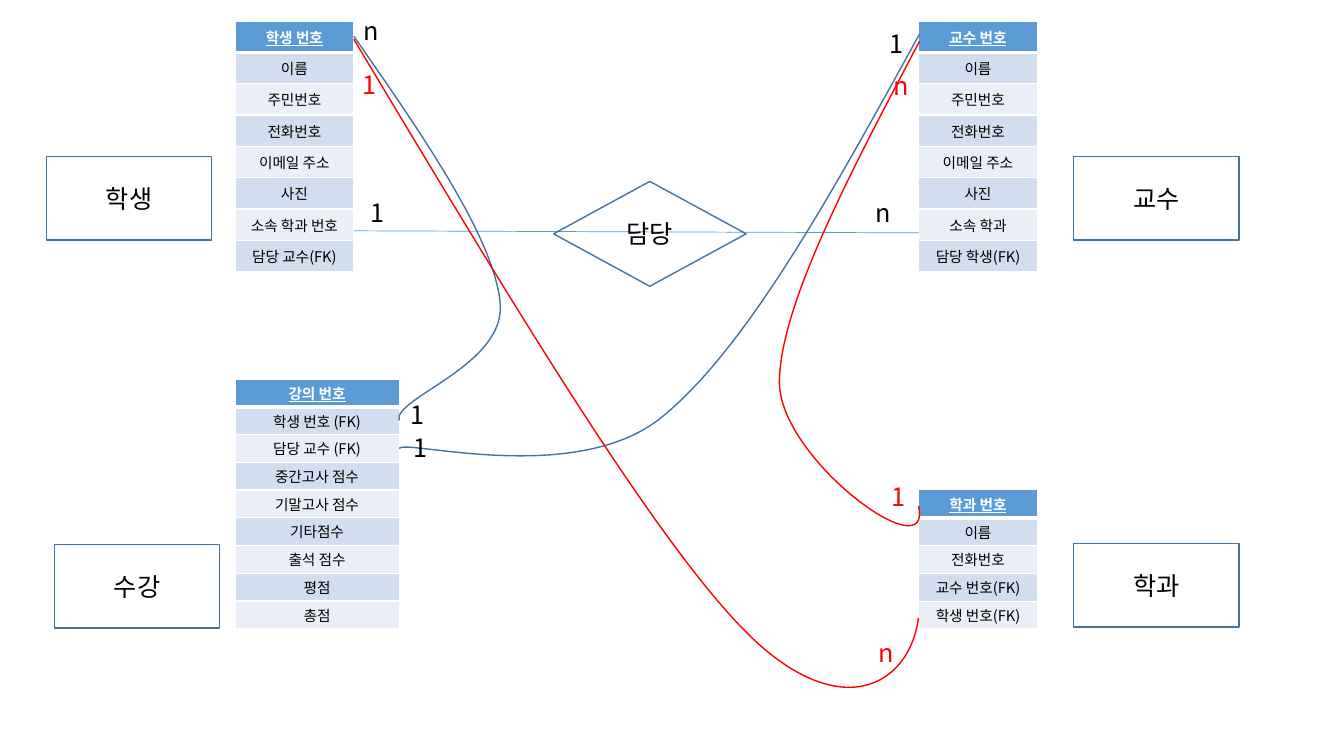
from lxml.etree import SubElement
from pptx import Presentation
from pptx.dml.color import RGBColor
from pptx.enum.shapes import MSO_CONNECTOR, MSO_SHAPE
from pptx.enum.text import MSO_ANCHOR as ANCHOR, MSO_AUTO_SIZE as AUTO, PP_ALIGN as ALIGN
from pptx.oxml.ns import qn
from pptx.util import Inches, Pt

FONT = "Noto Sans CJK KR"
BLACK = RGBColor(0, 0, 0)
WHITE = RGBColor(255, 255, 255)
RED = RGBColor(255, 0, 0)
NAVY = RGBColor(0x43, 0x73, 0x9E)
BLUE = RGBColor(0x5B, 0x9B, 0xD5)
BANDS = [RGBColor(0xD2, 0xDE, 0xEF), RGBColor(0xEA, 0xEF, 0xF7)]

ENTITIES = [("학생", 0.46, 1.55), ("수강", 0.54, 5.4), ("학과", 10.65, 5.39), ("교수", 10.65, 1.55)]

PERSON_FIELDS = ["이름", "주민번호", "전화번호", "이메일 주소", "사진"]
TABLES = [
    (2.33, 0.21, 1.18, 2.48, 0.05,
     ["학생 번호", *PERSON_FIELDS, "소속 학과 번호", "담당 교수(FK)"]),
    (9.11, 0.21, 1.18, 2.48, 0.05,
     ["교수 번호", *PERSON_FIELDS, "소속 학과", "담당 학생(FK)"]),
    (9.11, 4.86, 1.18, 1.38, 0.03,
     ["학과 번호", "이름", "전화번호", "교수 번호(FK)", "학생 번호(FK)"]),
    (2.33, 3.76, 1.63, 2.48, 0.03,
     ["강의 번호", "학생 번호 (FK)", "담당 교수 (FK)", "중간고사 점수", "기말고사 점수",
      "기타점수", "출석 점수", "평점", "총점"]),
]

CURVES = [
    (NAVY, (3.51, 0.36, 1.46, 3.82),
     [(3.51, 0.36), (4.2, 1.35), (4.89, 2.35), (4.96, 2.99),
      (5.04, 3.62), (3.89, 3.95), (3.96, 4.17)]),
    (NAVY, (3.96, 0.34, 5.16, 4.18),
     [(9.12, 0.34), (8.26, 1.9), (7.41, 3.46), (6.55, 4.15),
      (5.69, 4.83), (4, 4.35), (3.96, 4.45)]),
    (RED, (3.51, 0.39, 5.6, 6.44),
     [(3.51, 0.39), (4.98, 2.84), (6.44, 5.29), (7.38, 6.25),
      (8.31, 7.2), (9.02, 6.82), (9.11, 6.13)]),
    (RED, (7.73, 0.41, 1.39, 4.8),
     [(9.12, 0.41), (8.43, 1.72), (7.74, 3.02), (7.73, 3.79),
      (7.73, 4.56), (9.26, 5.67), (9.11, 5.02)]),
]

CARDINALITIES = [
    ("n", 8.58, 1.91, BLACK), ("1", 3.58, 1.91, BLACK),
    ("1", 3.97, 3.91, BLACK), ("n", 3.51, 0.1, BLACK),
    ("1", 4, 4.24, BLACK), ("1", 8.72, 0.23, BLACK),
    ("1", 3.5, 0.64, RED), ("n", 8.61, 6.27, RED),
    ("1", 8.74, 4.73, RED), ("n", 8.76, 0.65, RED),
]


class Diagram:
    def __init__(self, slide, font=FONT):
        self.slide = slide
        self.font = font

    def add_text(self, tf, text, size=18, color=BLACK, align=ALIGN.CENTER, header=False):
        p = tf.paragraphs[0]
        p.alignment = align
        r = p.add_run()
        r.text = text
        r.font.name = self.font
        r.font.size = Pt(size)
        r.font.bold = header
        r.font.underline = header
        r.font.color.rgb = color
        SubElement(r.font._element, qn("a:ea"), typeface=self.font)

    def outline(self, sp, color):
        sp.shadow.inherit = False
        sp.fill.background()
        sp.line.color.rgb = color
        sp.line.width = Pt(1)

    def shape(self, kind, text, x, y, w, h):
        sp = self.slide.shapes.add_shape(kind, Inches(x), Inches(y), Inches(w), Inches(h))
        self.outline(sp, NAVY)
        sp.text_frame.vertical_anchor = ANCHOR.MIDDLE
        self.add_text(sp.text_frame, text)

    def label(self, text, x, y, color):
        sp = self.slide.shapes.add_textbox(Inches(x), Inches(y), Inches(0.35), Inches(0.4))
        tf = sp.text_frame
        tf.word_wrap = False
        tf.auto_size = AUTO.SHAPE_TO_FIT_TEXT
        self.add_text(tf, text, color=color, align=ALIGN.LEFT)

    def border(self, cell, side, width):
        ln = SubElement(cell._tc.get_or_add_tcPr(), qn("a:" + side), w=str(int(Pt(width))))
        fill = SubElement(ln, qn("a:solidFill"))
        SubElement(fill, qn("a:srgbClr"), val=str(WHITE))

    def table(self, x, y, w, h, margin, fields):
        frame = self.slide.shapes.add_table(
            len(fields), 1, Inches(x), Inches(y), Inches(w), Inches(h))
        for i, field in enumerate(fields):
            header = i == 0
            cell = frame.table.cell(i, 0)
            cell.margin_top = cell.margin_bottom = Inches(margin)
            cell.vertical_anchor = ANCHOR.MIDDLE
            for side in ("lnL", "lnR", "lnT", "lnB"):
                thick = (header and side == "lnB") or (i == 1 and side == "lnT")
                self.border(cell, side, 3 if thick else 1)
            cell.fill.solid()
            cell.fill.fore_color.rgb = BLUE if header else BANDS[(i - 1) % 2]
            self.add_text(cell.text_frame, field, 10.5, WHITE if header else BLACK, header=header)

    def line(self, x1, y1, x2, y2):
        cn = self.slide.shapes.add_connector(
            MSO_CONNECTOR.STRAIGHT, Inches(x1), Inches(y1), Inches(x2), Inches(y2))
        cn.line.color.rgb = BLUE
        cn.line.width = Pt(0.5)
        SubElement(cn._element.spPr, qn("a:effectLst"))

    def curve(self, color, box, points):
        points = [(Inches(x), Inches(y)) for x, y in points]
        builder = self.slide.shapes.build_freeform(*points[0])
        builder.add_line_segments(points[1:], close=False)
        sp = builder.convert_to_shape()
        left, top, width, height = map(Inches, box)
        dx, dy = sp.left - left, sp.top - top
        sp.left, sp.top, sp.width, sp.height = left, top, width, height
        geom = sp._element.find(".//" + qn("a:path"))
        geom.set("w", str(int(width)))
        geom.set("h", str(int(height)))
        for pt in geom.iter(qn("a:pt")):
            pt.set("x", str(int(pt.get("x")) + dx))
            pt.set("y", str(int(pt.get("y")) + dy))
        segments = geom.findall(qn("a:lnTo"))
        for i in range(0, len(segments), 3):
            bezier = SubElement(geom, qn("a:cubicBezTo"))
            for segment in segments[i:i + 3]:
                bezier.append(segment[0])
                geom.remove(segment)
        self.outline(sp, color)


def main():
    prs = Presentation()
    prs.slide_width, prs.slide_height = Inches(13.33), Inches(7.5)
    d = Diagram(prs.slides.add_slide(prs.slide_layouts[6]))
    for name, x, y in ENTITIES:
        d.shape(MSO_SHAPE.RECTANGLE, name, x, y, 1.64, 0.83)
    for table in TABLES:
        d.table(*table)
    d.line(3.51, 2.29, 9.11, 2.31)
    d.shape(MSO_SHAPE.FLOWCHART_DECISION, "담당", 5.49, 1.8, 1.91, 1.04)
    for curve in CURVES:
        d.curve(*curve)
    for cardinality in CARDINALITIES:
        d.label(*cardinality)
    prs.save("out.pptx")


if __name__ == "__main__":
    main()
